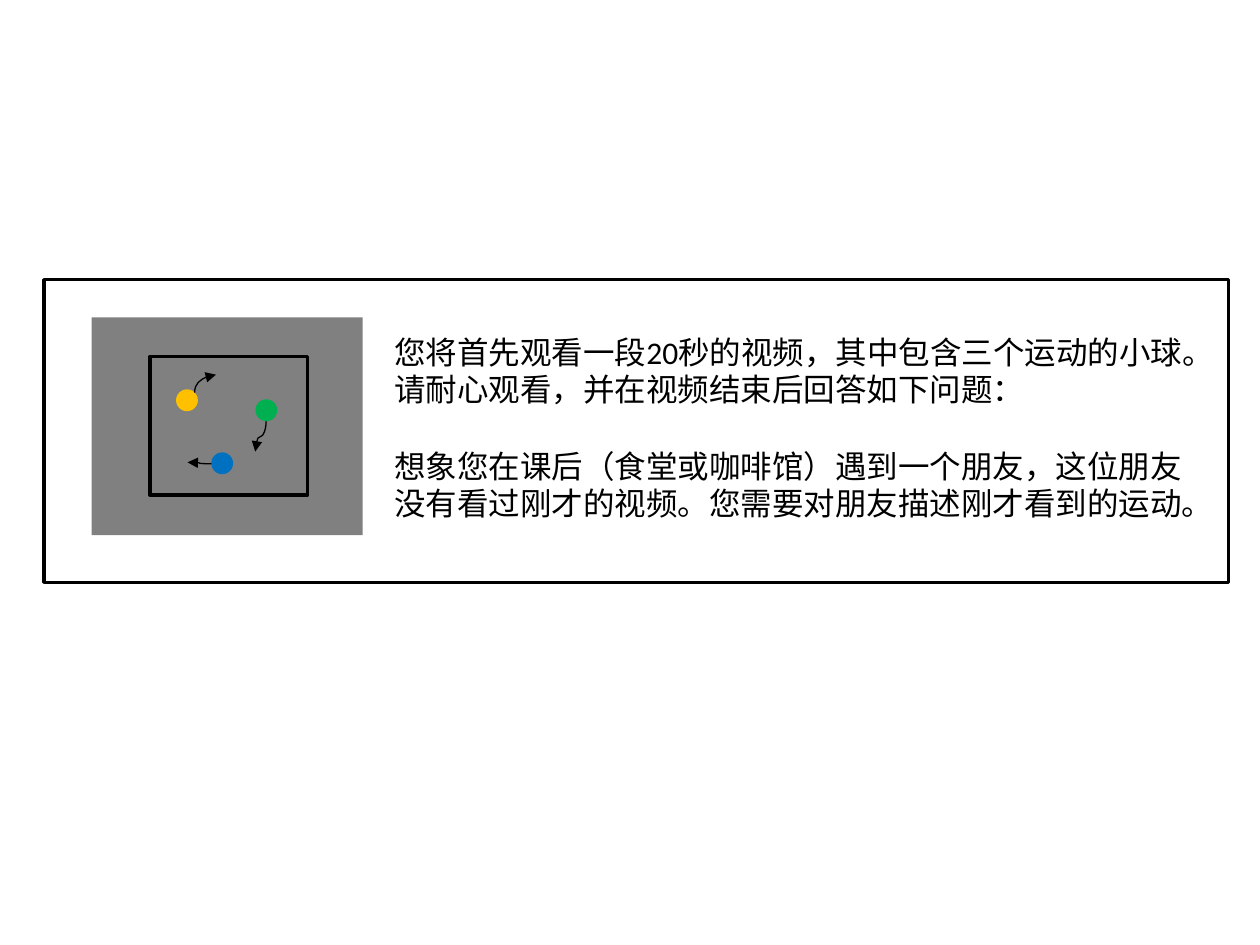
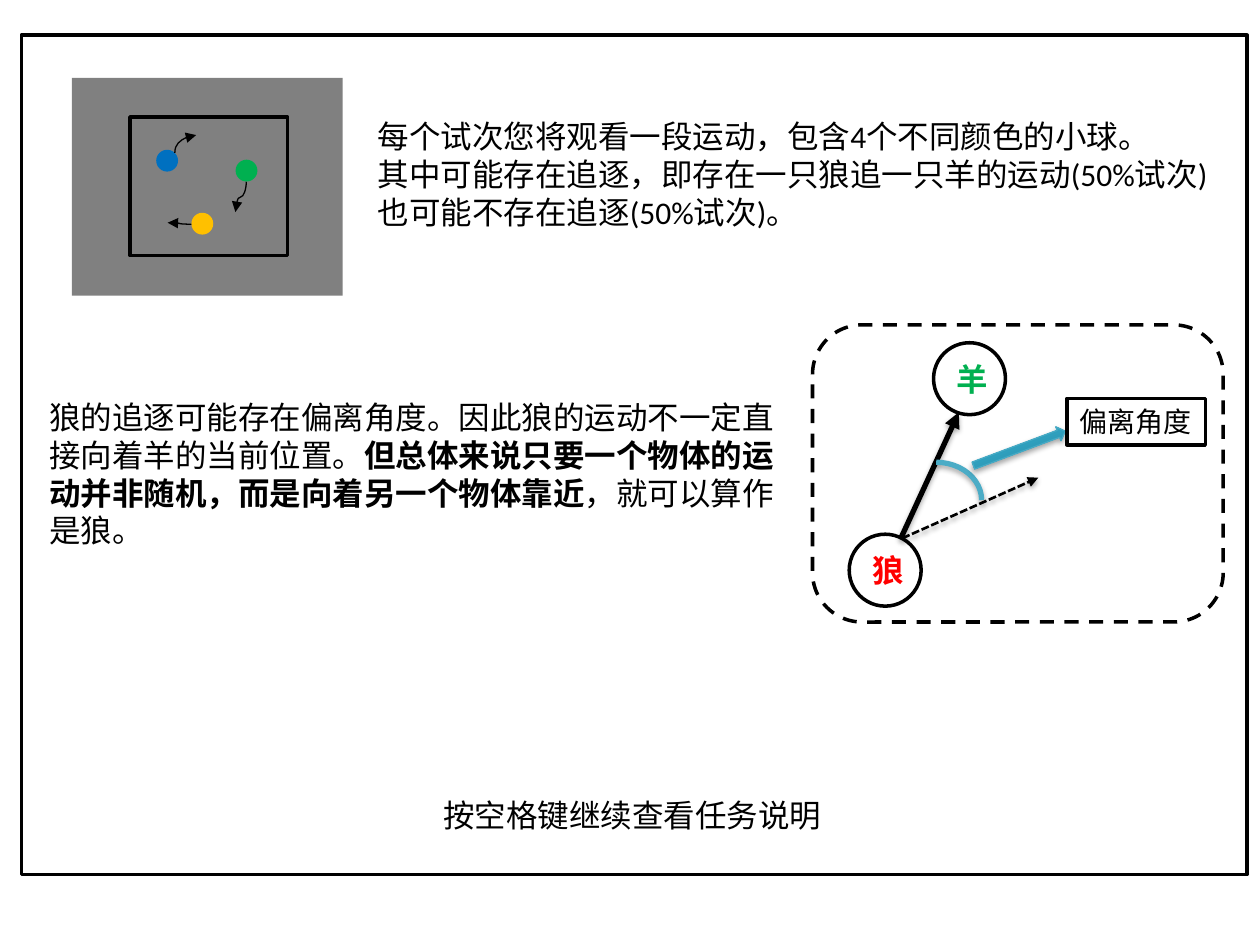
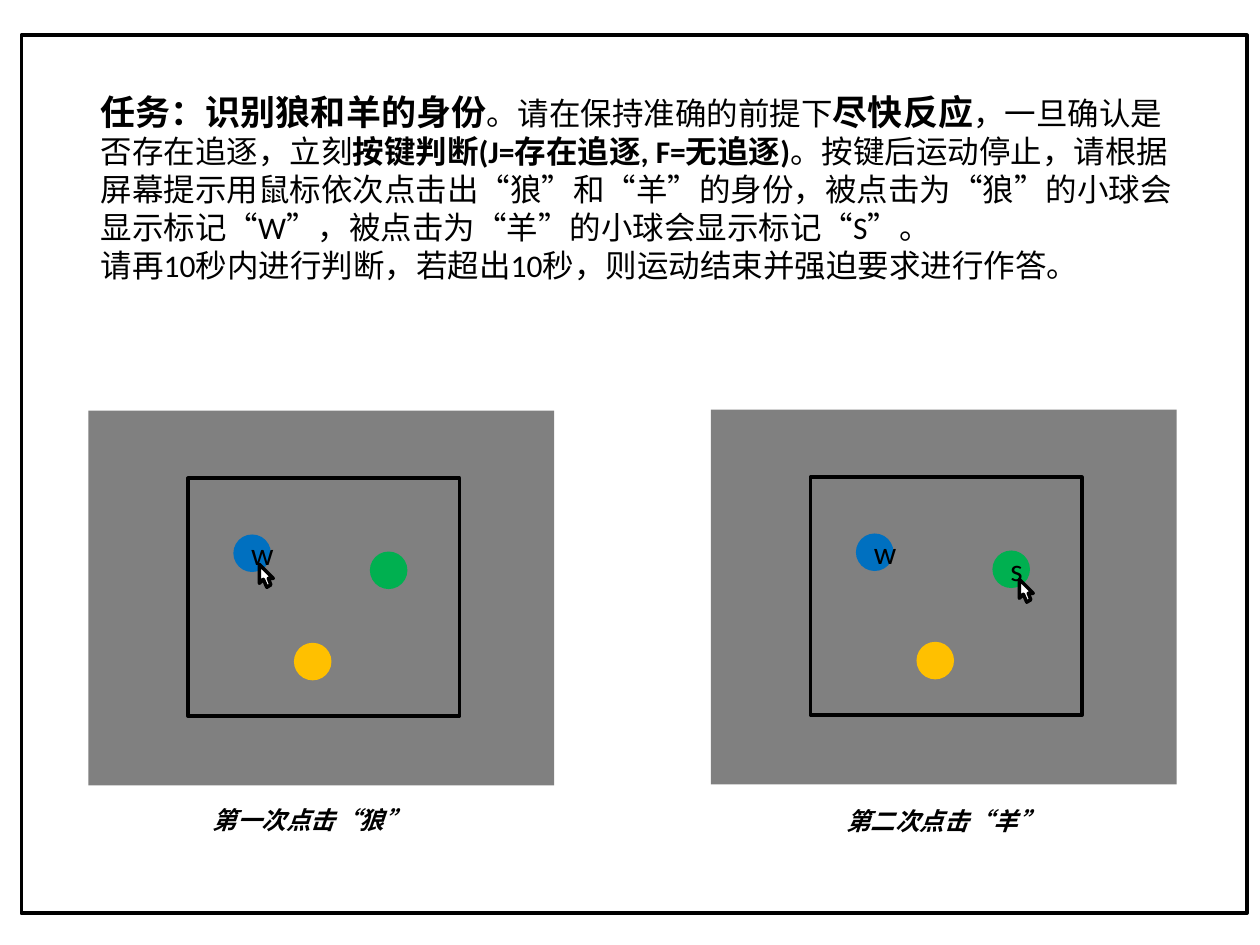
from lxml import etree
from pptx import Presentation
from pptx import util as u
from pptx.dml.color import RGBColor
from pptx.enum import dml, shapes, text
from pptx.oxml.ns import qn

COLORS = {
    "ink": "000000", "paper": "FFFFFF", "arena": "808080",
    "yellow": "FFC000", "blue": "0070C0", "green": "00B050", "red": "FF0000",
    "arc": "4BACC6", "arrow_line": "46AAC5",
    "arrow_dark": "2A88A2", "arrow_light": "34B4D6",
}
FONT = "Calibri"
SHAPE = shapes.MSO_SHAPE
DASH = dml.MSO_LINE

# Arena at scale 1, in cm from its top left corner
ARENA_SIZE = (5.46, 4.39)
FIELD = (1.17, 0.79, 3.18, 2.79)
BALL = 0.44
BALL_SPOTS = [(1.7, 1.45), (2.41, 2.72), (3.3, 1.65)]
# Motion paths: box, rotation, flipped both ways, preset
PATHS = [
    ((3.1, 2.29, 0.61, 0.22), 90, False, "curvedConnector3"),
    ((1.93, 2.92, 0.48, 0.03), 180, False, "curvedConnector3"),
    ((2.11, 1.12, 0.36, 0.43), 90, True, "curvedConnector2"),
]
CURSOR = [(0.28, 0.28), (0.18, 0.28), (0.23, 0.41), (0.15, 0.46),
          (0.08, 0.3), (0, 0.38)]


def rgb(name):
    return RGBColor.from_string(COLORS[name])


def cm(*values):
    return [u.Cm(v) for v in values]


class Deck:
    """Holds the style and the current slide."""

    def __init__(self):
        self.prs = Presentation()
        self.prs.slide_width, self.prs.slide_height = cm(25.4, 19.05)
        self.s = None

    def slide(self):
        self.s = self.prs.slides.add_slide(self.prs.slide_layouts[6])

    def line(self, ln, color="ink", width=2, dash=None):
        ln.color.rgb = rgb(color)
        ln.width = u.Pt(width)
        if dash:
            ln.dash_style = dash

    def shadow(self, sp, visible=True):
        """Give a soft drop shadow, or an empty effect list."""
        spPr = sp._element.spPr
        for old in spPr.findall(qn("a:effectLst")):
            spPr.remove(old)
        effects = etree.SubElement(spPr, qn("a:effectLst"))
        if visible:
            outer = etree.SubElement(effects, qn("a:outerShdw"), blurRad="40000",
                                     dist="23000", dir="5400000", rotWithShape="0")
            color = etree.SubElement(outer, qn("a:srgbClr"), val=COLORS["ink"])
            etree.SubElement(color, qn("a:alpha"), val="35000")

    def shape(self, kind, box, fill=None, line=None, width=2, dash=None):
        sp = self.s.shapes.add_shape(kind, *cm(*box))
        sp.shadow.inherit = False
        if fill:
            sp.fill.solid()
            sp.fill.fore_color.rgb = rgb(fill)
        else:
            sp.fill.background()
        if line:
            self.line(sp.line, line, width, dash)
        else:
            sp.line.fill.background()
        return sp

    def frame(self, box):
        sp = self.shape(SHAPE.ROUNDED_RECTANGLE, box, line="ink")
        sp.adjustments[0] = 0

    def fill_text(self, tf, paragraphs, size=18, color="ink", bold=False,
                  italic=False, align=None):
        """Each paragraph is a string or a list of (text, bold, size) runs."""
        for i, runs in enumerate(paragraphs):
            p = tf.paragraphs[0] if i == 0 else tf.add_paragraph()
            p.alignment = align
            p.font.name, p.font.size = FONT, u.Pt(size)
            p.font.color.rgb = rgb(color)
            if isinstance(runs, str):
                p.font.bold, p.font.italic = bold, italic
                p.add_run().text = runs
                continue
            for words, strong, run_size in runs:
                r = p.add_run()
                r.text = words
                r.font.bold, r.font.size = strong, u.Pt(run_size)

    def text(self, box, paragraphs, wrap=True, **style):
        tf = self.s.shapes.add_textbox(*cm(*box)).text_frame
        tf.word_wrap = wrap
        tf.auto_size = text.MSO_AUTO_SIZE.SHAPE_TO_FIT_TEXT
        self.fill_text(tf, paragraphs, **style)
        return tf

    def disc(self, x, y, size, fill, label=None, line=None, **style):
        sp = self.shape(SHAPE.OVAL, (x, y, size, size), fill, line)
        if label:
            self.fill_text(sp.text_frame, [label], align=text.PP_ALIGN.CENTER, **style)

    def arrow(self, kind, start, end, width, dash=None, shadow=False):
        sp = self.s.shapes.add_connector(kind, *cm(*start, *end))
        self.line(sp.line, "ink", width, dash)
        ln = sp._element.spPr.find(qn("a:ln"))
        etree.SubElement(ln, qn("a:tailEnd"), type="triangle")
        self.shadow(sp, shadow)
        return sp

    def curve(self, box, turn, flipped, preset):
        x, y, w, h = box
        sp = self.arrow(shapes.MSO_CONNECTOR.CURVE, (x, y), (x + w, y + h), 0.75)
        spPr = sp._element.spPr
        xfrm = spPr.find(qn("a:xfrm"))
        xfrm.set("rot", str(turn * 60000))
        if flipped:
            xfrm.set("flipH", "1")
            xfrm.set("flipV", "1")
        spPr.find(qn("a:prstGeom")).set("prst", preset)

    def arena(self, x, y, colors, scale=1, labels=(None, None, None), moving=False):
        def place(left, top, *size):
            return (x + left * scale, y + top * scale, *[v * scale for v in size])

        self.shape(SHAPE.RECTANGLE, place(0, 0, *ARENA_SIZE), "arena")
        self.shape(SHAPE.RECTANGLE, place(*FIELD), line="ink")
        for spot, color, label in zip(BALL_SPOTS, colors, labels):
            self.disc(*place(*spot), BALL * scale, color, label)
        if moving:
            for box, *bend in PATHS:
                self.curve(place(*box), *bend)

    def cursor(self, x, y):
        builder = self.s.shapes.build_freeform(*cm(x, y))
        builder.add_line_segments([cm(x + dx, y + dy) for dx, dy in CURSOR])
        sp = builder.convert_to_shape()
        sp.shadow.inherit = False
        sp.fill.solid()
        sp.fill.fore_color.rgb = rgb("paper")
        self.line(sp.line)


deck = Deck()

# Slide 1: the video
deck.slide()
deck.arena(1.85, 6.4, ("yellow", "blue", "green"), moving=True)
tf = deck.text((7.7, 6.58, 16.61, 4.11), [
    "您将首先观看一段20秒的视频，其中包含三个运动的小球。",
    "请耐心观看，并在视频结束后回答如下问题：",
    "想象您在课后（食堂或咖啡馆）遇到一个朋友，这位朋友没有看过刚才的视频。"
    "您需要对朋友描述刚才看到的运动。",
])
tf.paragraphs[2].space_before = u.Pt(22)
deck.frame((0.89, 5.64, 23.88, 6.1))

# Slide 2: chasing and its deviation angle
deck.slide()
deck.arena(1.45, 1.57, ("blue", "yellow", "green"), moving=True)
deck.text((7.37, 2.24, 17.42, 2.57), [
    "每个试次您将观看一段运动，包含4个不同颜色的小球。",
    "其中可能存在追逐，即存在一只狼追一只羊的运动(50%试次)",
    "也可能不存在追逐(50%试次)。",
])
deck.frame((0.43, 0.71, 24.71, 16.92))
deck.text((0.74, 7.9, 15.24, 3.33), [[
    ("狼的追逐可能存在偏离角度。因此狼的运动不一定直接向着羊的当前位置。", False, 18),
    ("但总体来说只要一个物体的运动并非随机，而是向着另一个物体靠近", True, 18),
    ("，就可以算作是狼。", False, 18),
]])

# Wolf and sheep diagram
deck.disc(17.12, 10.77, 1.45, "paper", "狼", "ink", color="red", bold=True)
deck.disc(18.82, 6.91, 1.45, "paper", "羊", "ink", color="green", bold=True)
STRAIGHT = shapes.MSO_CONNECTOR.STRAIGHT
deck.arrow(STRAIGHT, (18.16, 10.85), (19.33, 8.31), 3, shadow=True)
deck.arrow(STRAIGHT, (18.19, 10.85), (20.93, 9.63), 1.5, DASH.SQUARE_DOT, shadow=True)
arc = deck.shape(SHAPE.ARC, (17.96, 9.32, 1.83, 1.52), line="arc", width=3)
deck.shadow(arc)
pointer = deck.shape(SHAPE.RIGHT_ARROW, (19.56, 8.89, 1.98, 0.3),
                     line="arrow_line", width=0.75)
pointer.rotation = 339.5
pointer.fill.gradient()
pointer.fill.gradient_angle = 90
for stop, color in zip(pointer.fill.gradient_stops, ("arrow_dark", "arrow_light")):
    stop.color.rgb = rgb(color)
deck.shadow(pointer)
label = deck.shape(SHAPE.RECTANGLE, (21.51, 8.03, 2.79, 0.94), "paper", "ink")
label.text_frame.word_wrap = False
deck.fill_text(label.text_frame, ["偏离角度"], size=16, align=text.PP_ALIGN.LEFT)
deck.shape(SHAPE.ROUNDED_RECTANGLE, (16.38, 6.55, 8.28, 5.99), line="ink",
           dash=DASH.DASH)
deck.text((8.69, 15.93, 8.2, 1.02), ["按空格键继续查看任务说明"], wrap=False)

# Slide 3: the task
deck.slide()
deck.frame((0.43, 0.71, 24.71, 17.7))
deck.text((1.78, 1.7, 22.28, 4.19), [
    [
        ("任务：识别狼和羊的身份", True, 20),
        ("。请在保持准确的前提下", False, 18),
        ("尽快反应", True, 20),
        ("，一旦确认是否存在追逐，立刻", False, 18),
        ("按键判断(J=存在追逐, F=无追逐)", True, 18),
        ("。按键后运动停止，请根据屏幕提示用鼠标依次点击出“狼”和“羊”的身份，"
         "被点击为“狼”的小球会显示标记“W”，被点击为“羊”的小球会显示标记“S”。",
         False, 18),
    ],
    "请再10秒内进行判断，若超出10秒，则运动结束并强迫要求进行作答。",
])

# The two clicks: arena, ball labels, cursor tip, caption
CLICKS = [
    ((1.78, 8.28), ("w", None, None), (5.23, 11.38), (4.04, 16.1), "第一次点击“狼”"),
    ((14.33, 8.26), ("w", None, "s"), (20.55, 11.68), (16.81, 16.13), "第二次点击“羊”"),
]
for corner, labels, tip, caption_at, caption in CLICKS:
    deck.arena(*corner, ("blue", "yellow", "green"), 1.72, labels)
    deck.cursor(*tip)
    deck.text((*caption_at, 4.5, 0.86), [caption], wrap=False, size=14,
              bold=True, italic=True)

deck.prs.save("out.pptx")
